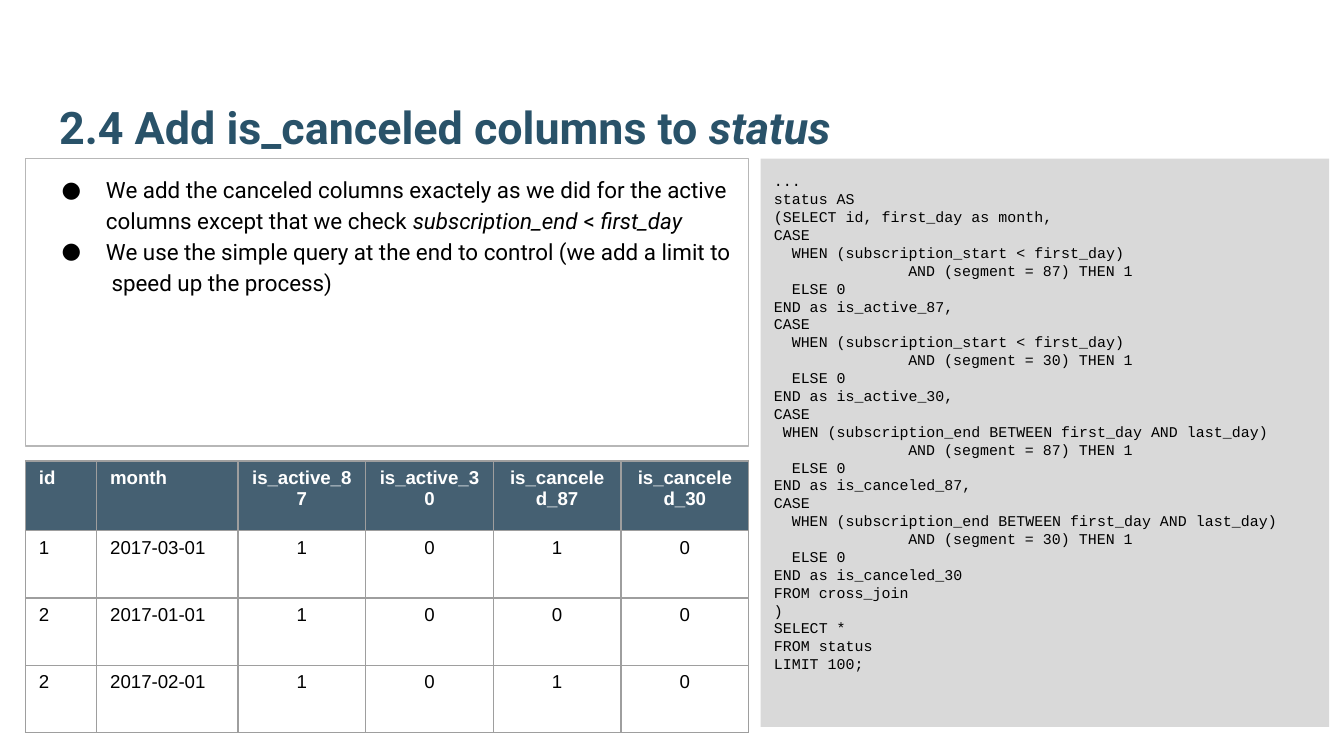
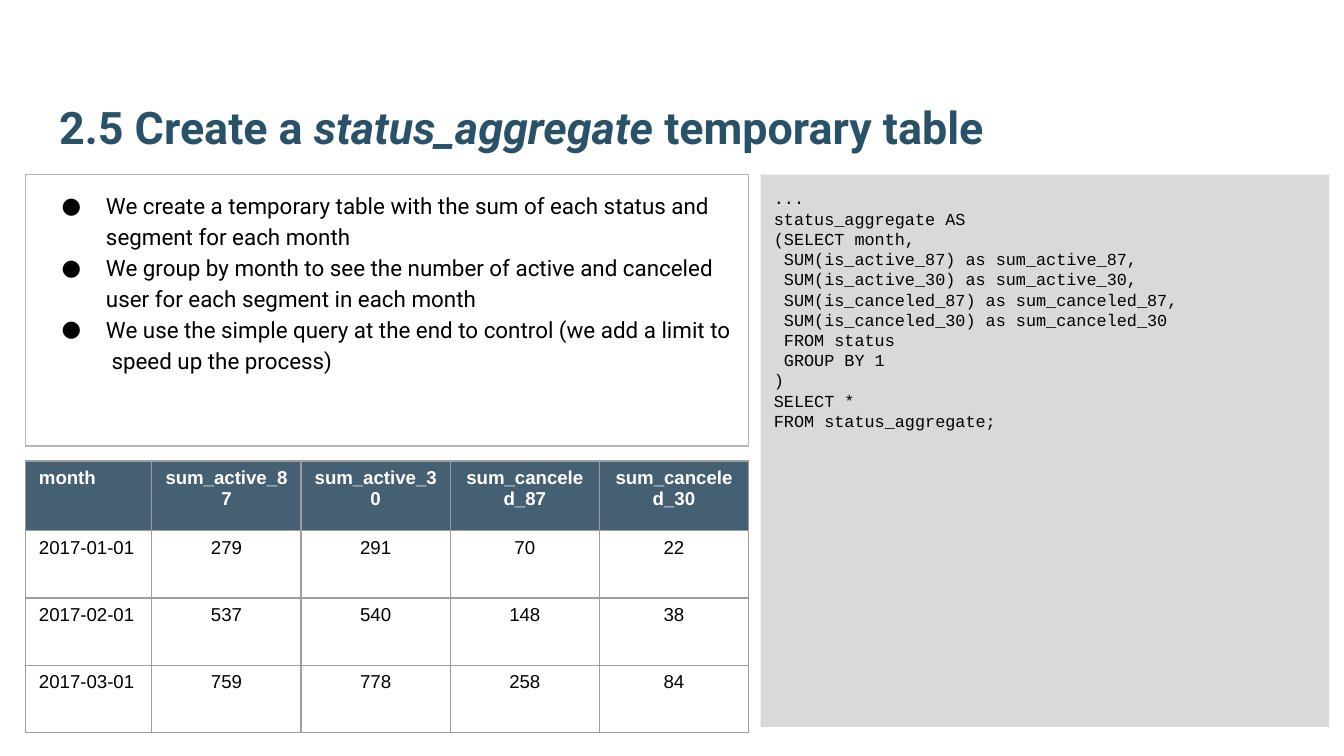
"""Build two SQL walkthrough slides with notes, a query and its result table."""
from lxml import etree
from pptx import Presentation
from pptx.dml.color import RGBColor
from pptx.enum.shapes import MSO_SHAPE
from pptx.enum.text import MSO_ANCHOR, MSO_AUTO_SIZE, PP_ALIGN
from pptx.oxml.ns import qn
from pptx.util import Inches, Pt

RECTANGLE = MSO_SHAPE.RECTANGLE
TOP, BOTTOM = MSO_ANCHOR.TOP, MSO_ANCHOR.BOTTOM
LEFT, CENTER = PP_ALIGN.LEFT, PP_ALIGN.CENTER
NO_AUTOFIT = MSO_AUTO_SIZE.NONE

NAVY, HEADER, GREY = "295269", "204056", "D9D9D9"
FRAME, GRID, BLACK, WHITE = "B7B7B7", "9E9E9E", "000000", "FFFFFF"
HEADER_OPACITY = 83
HEADING_FONT, CODE_FONT, TABLE_FONT = "Roboto", "Courier New", "Arial"
SLIDE_WIDTH = Inches(10)
SLIDE_HEIGHT = SLIDE_WIDTH * 9 // 16
TITLE_BOX = (0.34, 0.32, 9.32, 0.92)
NOTES_LEFT, NOTES_WIDTH, NOTES_BOTTOM, NOTES_SIZE = 0.19, 5.38, 3.32, 12
CODE_LEFT, CODE_WIDTH, CODE_BOTTOM = 5.66, 4.23, 5.41
TABLE_TOP, HEADER_HEIGHT, ROW_HEIGHT = 3.43, 0.52, 0.5

CONTROL_NOTE = "We use the simple query at the end to control (we add a limit to  speed up the process)"

STATUS_QUERY = """...
status AS
(SELECT id, first_day as month,
CASE
  WHEN (subscription_start < first_day)
\tAND (segment = 87) THEN 1
  ELSE 0
END as is_active_87,
CASE
  WHEN (subscription_start < first_day)
\tAND (segment = 30) THEN 1
  ELSE 0
END as is_active_30,
CASE
 WHEN (subscription_end BETWEEN first_day AND last_day)
\tAND (segment = 87) THEN 1
  ELSE 0
END as is_canceled_87,
CASE
  WHEN (subscription_end BETWEEN first_day AND last_day)
\tAND (segment = 30) THEN 1
  ELSE 0
END as is_canceled_30
FROM cross_join
)
SELECT *
FROM status
LIMIT 100;"""

AGGREGATE_QUERY = """...
status_aggregate AS
(SELECT month,
 SUM(is_active_87) as sum_active_87,
 SUM(is_active_30) as sum_active_30,
 SUM(is_canceled_87) as sum_canceled_87,
 SUM(is_canceled_30) as sum_canceled_30
 FROM status
 GROUP BY 1
)
SELECT *
FROM status_aggregate;"""

SLIDES = [
    {
        "title": "2.4 Add is_canceled columns to *status*",
        "top": 1.18,
        "notes": [
            "We add the canceled columns exactely as we did for the active columns "
            "except that we check *subscription_end* < *first_day*",
            CONTROL_NOTE,
        ],
        "query": STATUS_QUERY,
        "query_size": 8,
        "key_widths": [0.53, 1.05],
        "rows": [
            ("id", "month", "is_active_87", "is_active_30", "is_canceled_87", "is_canceled_30"),
            ("1", "2017-03-01", "1", "0", "1", "0"),
            ("2", "2017-01-01", "1", "0", "0", "0"),
            ("2", "2017-02-01", "1", "0", "1", "0"),
        ],
    },
    {
        "title": "2.5 Create a *status_aggregate *temporary table",
        "top": 1.3,
        "notes": [
            "We create a temporary table with the sum of each status and segment for each month",
            "We group by month to see the number of active and canceled user "
            "for each segment in each month",
            CONTROL_NOTE,
        ],
        "query": AGGREGATE_QUERY,
        "query_size": 9,
        "key_widths": [0.94],
        "rows": [
            ("month", "sum_active_87", "sum_active_30", "sum_canceled_87", "sum_canceled_30"),
            ("2017-01-01", "279", "291", "70", "22"),
            ("2017-02-01", "537", "540", "148", "38"),
            ("2017-03-01", "759", "778", "258", "84"),
        ],
    },
]


def rgb(value):
    return RGBColor.from_string(value)


def add_xml(parent, tag, **attributes):
    return etree.SubElement(parent, qn(tag), attributes)


def set_font(paragraph, name, size, color, bold=False):
    font = paragraph.font
    font.name, font.size, font.bold = name, Pt(size), bold
    font.color.rgb = rgb(color)


def write_marked(paragraph, marked):
    """Add runs, with the text between asterisks in italics."""
    for index, part in enumerate(marked.split("*")):
        if part:
            run = paragraph.add_run()
            run.text = part
            if index % 2:
                run.font.italic = True


def set_frame(frame, anchor):
    frame.word_wrap = True
    frame.auto_size = NO_AUTOFIT
    frame.vertical_anchor = anchor
    frame.margin_left = frame.margin_right = Inches(0.1)
    frame.margin_top = frame.margin_bottom = Inches(0.1)


def add_title(slide, marked):
    title = slide.shapes.title
    title.left, title.top, title.width, title.height = map(Inches, TITLE_BOX)
    set_frame(title.text_frame, BOTTOM)
    heading = title.text_frame.paragraphs[0]
    heading.alignment = LEFT
    set_font(heading, HEADING_FONT, 24, NAVY, bold=True)
    write_marked(heading, marked)


def add_panel(slide, left, top, width, bottom, lines):
    """Add a rectangle and return it with one left-aligned paragraph per line."""
    panel = slide.shapes.add_shape(
        RECTANGLE, Inches(left), Inches(top), Inches(width), Inches(bottom - top))
    panel.shadow.inherit = False
    frame = panel.text_frame
    set_frame(frame, TOP)
    paragraphs = [frame.paragraphs[0]] + [frame.add_paragraph() for _ in lines[1:]]
    for paragraph in paragraphs:
        paragraph.alignment = LEFT
    return panel, paragraphs


def add_query(slide, top, query, size):
    lines = query.splitlines()
    panel, paragraphs = add_panel(slide, CODE_LEFT, top, CODE_WIDTH, CODE_BOTTOM, lines)
    panel.fill.solid()
    panel.fill.fore_color.rgb = rgb(GREY)
    panel.line.fill.background()
    for paragraph, line in zip(paragraphs, lines):
        paragraph.add_run().text = line
        set_font(paragraph, CODE_FONT, size, BLACK)
        if line.startswith("\t"):
            tabs = etree.Element(qn("a:tabLst"))
            add_xml(tabs, "a:tab", pos=str(Inches(1)), algn="l")
            paragraph.font._element.addprevious(tabs)


def add_notes_box(slide, top, notes):
    panel, paragraphs = add_panel(slide, NOTES_LEFT, top, NOTES_WIDTH, NOTES_BOTTOM, notes)
    panel.fill.background()
    panel.line.color.rgb = rgb(FRAME)
    panel.line.width = Pt(0.75)
    for paragraph, note in zip(paragraphs, notes):
        write_marked(paragraph, note)
        set_font(paragraph, HEADING_FONT, NOTES_SIZE, BLACK)
        for run in paragraph.runs:
            run.font.size = Pt(NOTES_SIZE)
        paragraph.line_spacing = 1.15
        properties = paragraph.font._element.getparent()
        properties.set("marL", str(Inches(0.5)))
        properties.set("indent", str(-Inches(0.33)))
        bullet_color = etree.Element(qn("a:buClr"))
        add_xml(bullet_color, "a:srgbClr", val=BLACK)
        bullet_font = etree.Element(qn("a:buFont"), typeface=HEADING_FONT)
        bullet = etree.Element(qn("a:buChar"), char="●")
        for part in (bullet_color, bullet_font, bullet):
            paragraph.font._element.addprevious(part)


def style_cell(cell, is_header):
    properties = cell._tc.get_or_add_tcPr()
    for side in ("a:lnL", "a:lnR", "a:lnT", "a:lnB"):
        border = add_xml(properties, side, w=str(Pt(0.75)))
        add_xml(add_xml(border, "a:solidFill"), "a:srgbClr", val=GRID)
    cell.margin_left = cell.margin_right = Inches(0.1)
    cell.margin_top = cell.margin_bottom = Inches(0.05)
    cell.vertical_anchor = TOP
    if is_header:
        cell.fill.solid()
        cell.fill.fore_color.rgb = rgb(HEADER)
        color = properties.find(qn("a:solidFill")).find(qn("a:srgbClr"))
        add_xml(color, "a:alpha", val=str(HEADER_OPACITY * 1000))
    else:
        cell.fill.background()


def add_result(slide, rows, key_widths):
    """Add the table: left-aligned key columns, then equal centred columns."""
    count, keys = len(rows[0]), len(key_widths)
    heights = [HEADER_HEIGHT] + [ROW_HEIGHT] * (len(rows) - 1)
    value_width = (NOTES_WIDTH - sum(key_widths)) / (count - keys)
    widths = key_widths + [value_width] * (count - keys)
    table = slide.shapes.add_table(
        len(rows), count, Inches(NOTES_LEFT), Inches(TABLE_TOP),
        Inches(NOTES_WIDTH), Inches(sum(heights))).table
    table.first_row = table.horz_banding = False
    for column, width in zip(table.columns, widths):
        column.width = Inches(width)
    for r, (values, height) in enumerate(zip(rows, heights)):
        table.rows[r].height = Inches(height)
        for c, value in enumerate(values):
            cell = table.cell(r, c)
            style_cell(cell, r == 0)
            cell.text = value
            paragraph = cell.text_frame.paragraphs[0]
            paragraph.alignment = LEFT if c < keys else CENTER
            set_font(paragraph, TABLE_FONT, 10, BLACK if r else WHITE, bold=r == 0)


def main():
    deck = Presentation()
    deck.slide_width, deck.slide_height = SLIDE_WIDTH, SLIDE_HEIGHT
    title_only = deck.slide_layouts[5]
    for content in SLIDES:
        slide = deck.slides.add_slide(title_only)
        add_title(slide, content["title"])
        add_query(slide, content["top"], content["query"], content["query_size"])
        add_notes_box(slide, content["top"], content["notes"])
        add_result(slide, content["rows"], content["key_widths"])
    deck.save("out.pptx")


if __name__ == "__main__":
    main()
